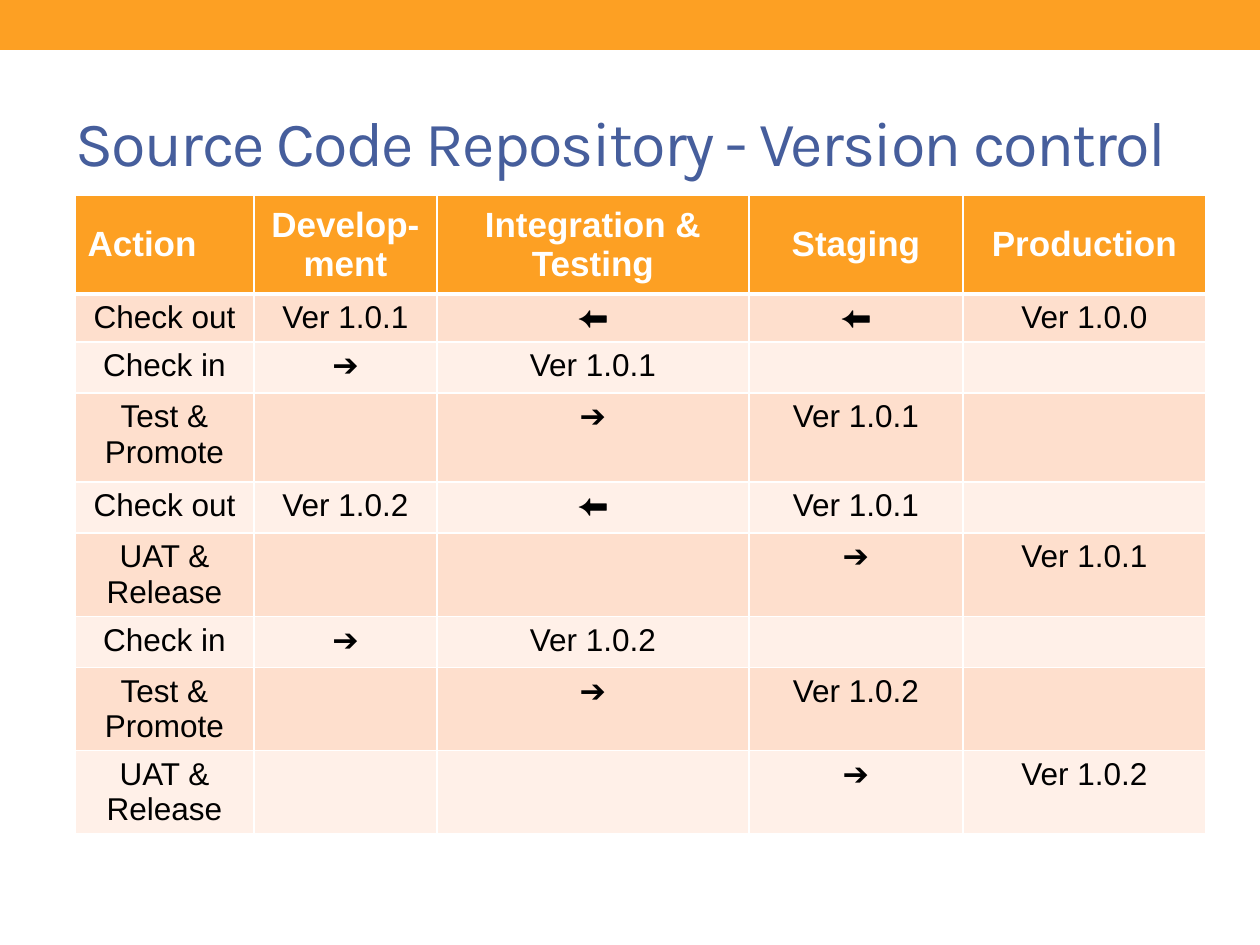
import pptx
import pptx.dml.color
import pptx.enum.shapes
import pptx.enum.text
import pptx.oxml
import pptx.oxml.ns
import pptx.util

SCALE = 914400 / 126
COLORS = {
    "orange": "FDA023",
    "blue": "465E9C",
    "dark_band": "FEDFCD",
    "light_band": "FFF0E8",
    "white": "FFFFFF",
    "black": "000000",
}
HEADER = ["Action", "Develop-ment", "Integration & Testing", "Staging", "Production"]
STEPS = [
    ["Check out", "Ver 1.0.1", "⬅", "⬅", "Ver 1.0.0"],
    ["Check in", "➔", "Ver 1.0.1", "", ""],
    ["Test & Promote", "", "➔", "Ver 1.0.1", ""],
    ["Check out", "Ver 1.0.2", "⬅", "Ver 1.0.1", ""],
    ["UAT & Release", "", "", "➔", "Ver 1.0.1"],
    ["Check in", "➔", "Ver 1.0.2", "", ""],
    ["Test & Promote", "", "➔", "Ver 1.0.2", ""],
    ["UAT & Release", "", "", "➔", "Ver 1.0.2"],
]
COLUMN_WIDTHS = [179, 183, 312, 214, 243]
ROW_HEIGHTS = [99, 48, 48, 89, 48, 83, 48, 83, 83]


def px(*lengths):
    """Turn pixel lengths into a list of EMU."""
    return [pptx.util.Emu(round(length * SCALE)) for length in lengths]


def color(name):
    return pptx.dml.color.RGBColor.from_string(COLORS[name])


deck = pptx.Presentation()
deck.slide_width, deck.slide_height = px(1260, 945)
page = deck.slides.add_slide(deck.slide_layouts.get_by_name("Title Only"))

band = page.shapes.add_shape(pptx.enum.shapes.MSO_SHAPE.RECTANGLE, *px(0, 0, 1260, 50))
band.shadow.inherit = False
band.fill.solid()
band.fill.fore_color.rgb = color("orange")
band.line.fill.background()

title = page.shapes.title
title.left, title.top, title.width, title.height = px(63, 73, 1134, 136)
title.text_frame.text = "Source Code Repository - Version control"
title.text_frame.vertical_anchor = pptx.enum.text.MSO_ANCHOR.MIDDLE
para = title.text_frame.paragraphs[0]
para.alignment = pptx.enum.text.PP_ALIGN.LEFT
span = para.runs[0]
span.font.name = "Karla"
span.font.size = pptx.util.Pt(36)
span.font.color.rgb = color("blue")
span.font._element.set("spc", "-100")

rows = [HEADER] + STEPS
frame = page.shapes.add_table(
    len(rows), len(HEADER), *px(75, 195, sum(COLUMN_WIDTHS), sum(ROW_HEIGHTS)))
table = frame.table
for column, width in zip(table.columns, px(*COLUMN_WIDTHS)):
    column.width = width
for row, height in zip(table.rows, px(*ROW_HEIGHTS)):
    row.height = height

for row_index, texts in enumerate(rows):
    is_header = row_index == 0
    fill = "orange" if is_header else "dark_band" if row_index % 2 else "light_band"
    for column_index, text in enumerate(texts):
        cell = table.cell(row_index, column_index)
        cell.fill.solid()
        cell.fill.fore_color.rgb = color(fill)
        cell.text_frame.text = text
        if is_header:
            cell.vertical_anchor = pptx.enum.text.MSO_ANCHOR.MIDDLE
        para = cell.text_frame.paragraphs[0]
        if not (is_header and column_index == 0):
            para.alignment = pptx.enum.text.PP_ALIGN.CENTER
        for span in para.runs:
            span.font.name = "Arial"
            span.font.size = pptx.util.Pt(20 if is_header else 18)
            span.font.bold = is_header
            span.font.color.rgb = color("white" if is_header else "black")

        # Borders must stand before the fill, in the order left, right, top, bottom.
        points = {"lnL": 1, "lnR": 1, "lnT": 3 if row_index == 1 else 1,
                  "lnB": 3 if is_header else 1}
        properties = cell._tc.get_or_add_tcPr()
        for position, (side, width) in enumerate(points.items()):
            properties.insert(position, pptx.oxml.parse_xml(
                f'<a:{side} {pptx.oxml.ns.nsdecls("a")} w="{pptx.util.Pt(width)}">'
                f'<a:solidFill><a:srgbClr val="{COLORS["white"]}"/></a:solidFill>'
                f'</a:{side}>'))

deck.save("out.pptx")
